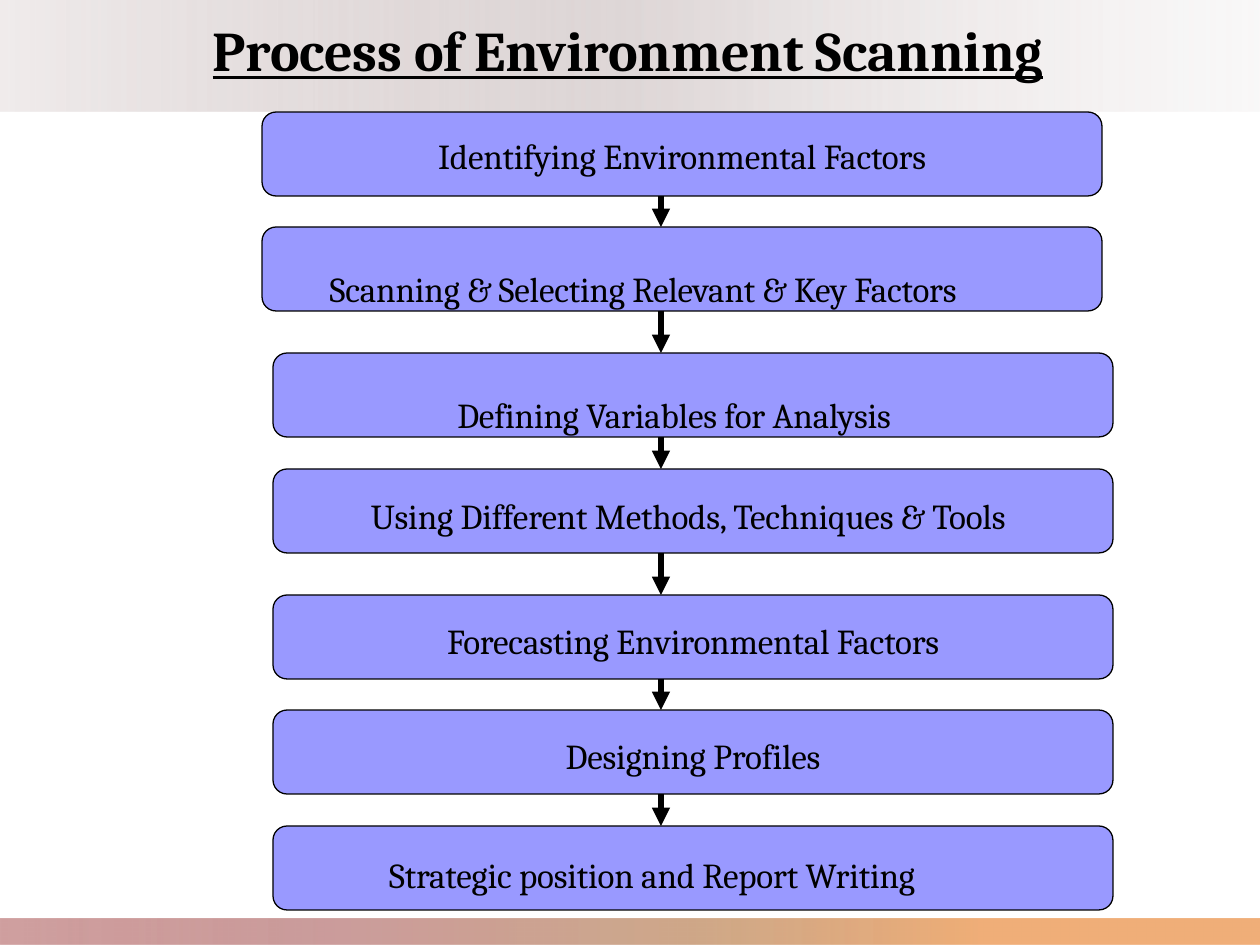
import pptx
import pptx.util
import pptx.dml.color
import pptx.enum.shapes
import pptx.enum.text
import pptx.oxml
import pptx.oxml.ns
from lxml import etree

# Content
TITLE = "Process of Environment Scanning"
# label, box left, gap below the box, label centre x, label shift down (px)
STEPS = [
    ("Identifying Environmental Factors", 262, 31, 682, 1),
    ("Scanning & Selecting Relevant & Key Factors", 262, 42, 643, 20),
    ("Defining Variables for Analysis", 273, 32, 674, 20),
    ("Using Different Methods, Techniques & Tools", 273, 42, 688, 5),
    ("Forecasting Environmental Factors", 273, 31, 693, 4),
    ("Designing Profiles", 273, 32, 693, 4),
    ("Strategic position and Report Writing", 273, 0, 652, 7),
]
COLORS = {"box": "9999FF", "ink": "000000"}
FONT = "Cambria"
# top, height, gradient stops (position %, colour, opacity %)
BANDS = [
    (0, 112, [(0, "B29D9D", 19), (50, "CFC4C4", 68), (100, "E7E2E2", 22)]),
    (919, 26, [(0, "800000", 37), (27, "953735", 49), (55, "984807", 47),
               (78, "E46C0A", 55)]),
]
SLIDE_W, SLIDE_H = 1260, 945
BOX_W, BOX_H, FIRST_TOP, ARROW_X = 840, 84, 112, 661
SHAPES = pptx.enum.shapes.MSO_SHAPE
qn = pptx.oxml.ns.qn


def px(length):
    return pptx.util.Emu(round(length * 914400 / 126))


def color(name):
    return pptx.dml.color.RGBColor.from_string(COLORS[name])


def write(frame, text, size, **style):
    """Write one centred line of text."""
    frame.word_wrap = True
    frame.auto_size = pptx.enum.text.MSO_AUTO_SIZE.NONE
    frame.vertical_anchor = pptx.enum.text.MSO_ANCHOR.MIDDLE
    para = frame.paragraphs[0]
    para.alignment = pptx.enum.text.PP_ALIGN.CENTER
    span = para.add_run()
    span.text = text
    span.font.name = FONT
    span.font.size = pptx.util.Pt(size)
    span.font.color.rgb = color("ink")
    for key, value in style.items():
        setattr(span.font, key, value)
    span.font._element.set("spc", "-10")


def add_band(page, top, height, stops):
    band = page.shapes.add_shape(SHAPES.RECTANGLE, 0, px(top), px(SLIDE_W), px(height))
    band.shadow.inherit = False
    band.line.fill.background()
    band.fill.gradient()
    band.fill.gradient_angle = 0
    stop_list = band._element.spPr.find(".//" + qn("a:gsLst"))
    for old in list(stop_list):
        stop_list.remove(old)
    for position, shade, opacity in stops:
        stop = etree.SubElement(stop_list, qn("a:gs"), pos=str(position * 1000))
        tint = etree.SubElement(stop, qn("a:srgbClr"), val=shade)
        etree.SubElement(tint, qn("a:alpha"), val=str(opacity * 1000))


def add_step(page, label, left, top, centre, shift):
    box = page.shapes.add_shape(SHAPES.ROUNDED_RECTANGLE, px(left), px(top),
                                px(BOX_W), px(BOX_H))
    box.shadow.inherit = False
    box.fill.solid()
    box.fill.fore_color.rgb = color("box")
    box.line.color.rgb = color("ink")
    box.line.width = pptx.util.Pt(0.75)
    # Insets move the label away from the middle of the box
    offset = centre - (left + BOX_W / 2)
    frame = box.text_frame
    frame.margin_left = px(max(0, 2 * offset))
    frame.margin_right = px(max(0, -2 * offset))
    frame.margin_top, frame.margin_bottom = px(2 * shift), 0
    write(frame, label, 20)


def add_arrow(page, start, end):
    arrow = page.shapes.add_connector(pptx.enum.shapes.MSO_CONNECTOR.STRAIGHT,
                                      px(ARROW_X), px(start), px(ARROW_X), px(end))
    arrow.line.color.rgb = color("ink")
    arrow.line.width = pptx.util.Pt(3.5)
    etree.SubElement(arrow.line._get_or_add_ln(), qn("a:tailEnd"), type="triangle")
    etree.SubElement(arrow._element.spPr, qn("a:effectLst"))


def main():
    deck = pptx.Presentation()
    deck.slide_width, deck.slide_height = px(SLIDE_W), px(SLIDE_H)
    page = deck.slides.add_slide(deck.slide_layouts[5])

    # Background bands, then the title in front of them
    for band in BANDS:
        add_band(page, *band)
    title = page.shapes.title
    page.shapes._spTree.append(title._element)
    title.left, title.top, title.width, title.height = px(170), px(13), px(916), px(71)
    frame = title.text_frame
    frame.margin_left = frame.margin_right = frame.margin_bottom = 0
    frame.margin_top = px(2)
    write(frame, TITLE, 32, bold=True, underline=True)

    # Steps from top to bottom, with an arrow in each gap
    top = FIRST_TOP
    for label, left, gap, centre, shift in STEPS:
        add_step(page, label, left, top, centre, shift)
        bottom = top + BOX_H
        top = bottom + gap
        if gap:
            add_arrow(page, bottom, top)

    deck.save("out.pptx")


if __name__ == "__main__":
    main()
